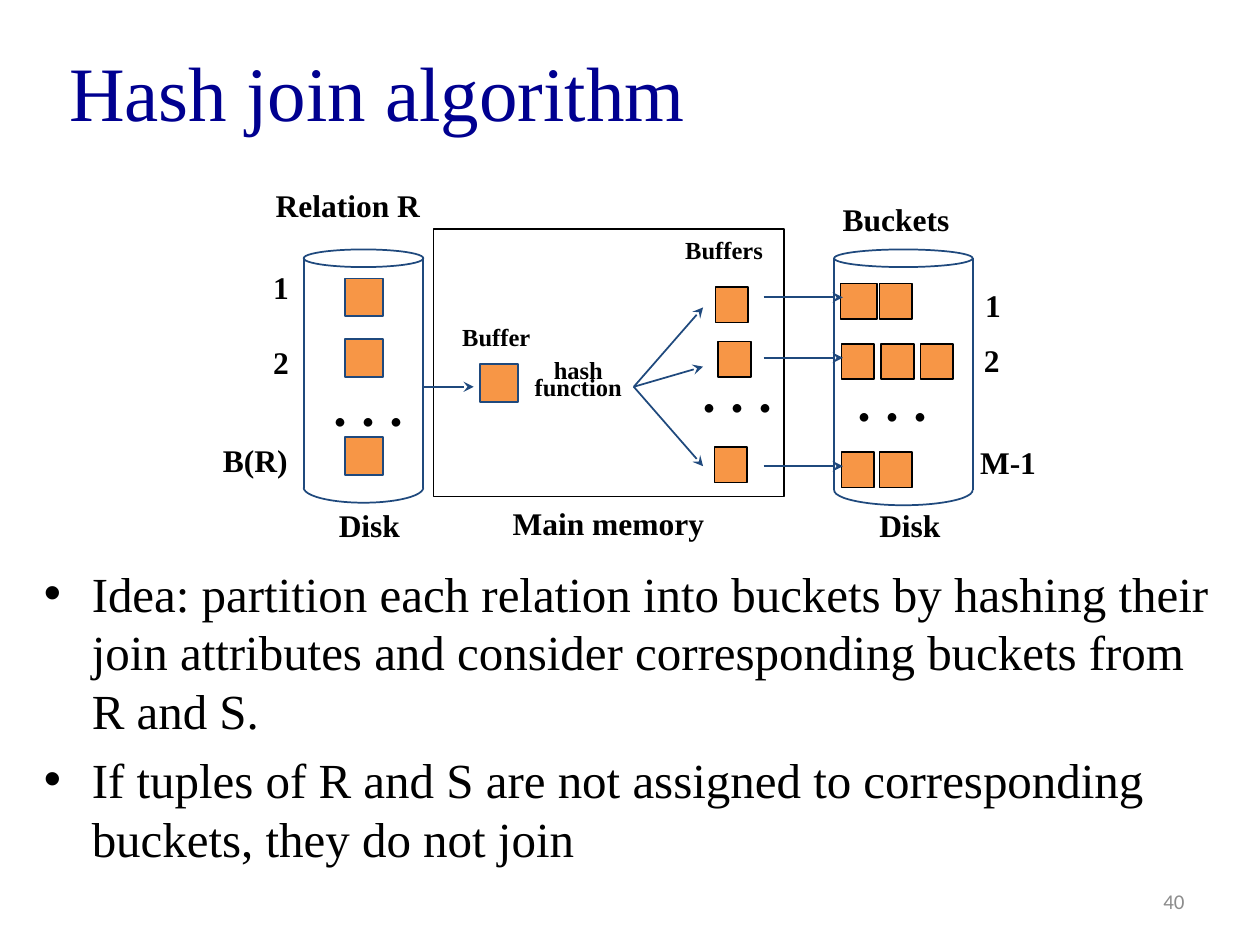
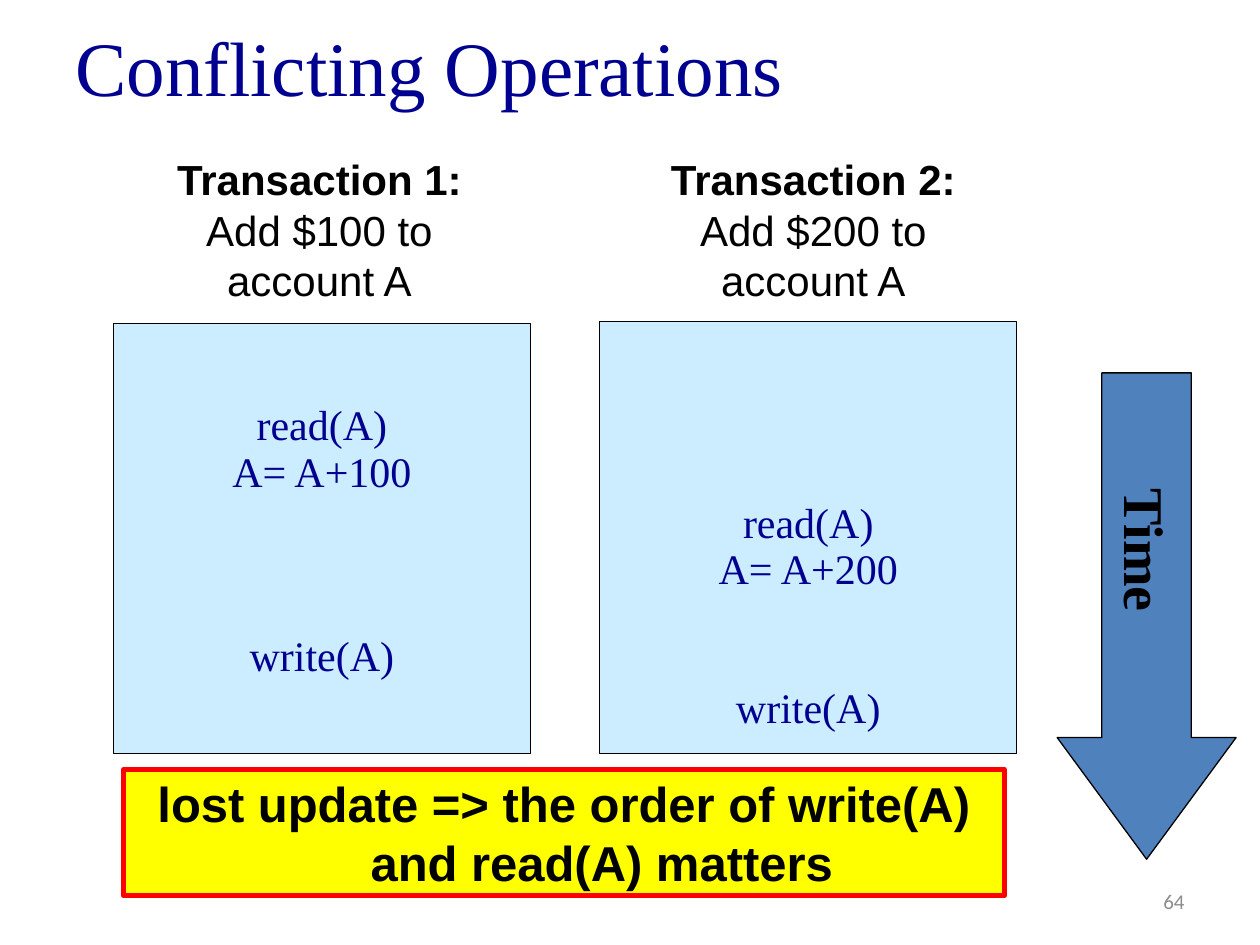
"""Builds two database slides: hash join and conflicting operations."""
from lxml import etree
from pptx import Presentation
from pptx.dml.color import RGBColor
from pptx.enum.shapes import MSO_CONNECTOR, MSO_SHAPE
from pptx.enum.text import MSO_ANCHOR, PP_ALIGN
from pptx.oxml.ns import qn
from pptx.util import Inches, Pt

BLACK = RGBColor(0x00, 0x00, 0x00)
NAVY = RGBColor(0x00, 0x00, 0x90)
GRAY = RGBColor(0x8C, 0x8C, 0x8C)
INK = RGBColor(0x1F, 0x49, 0x7D)
ORANGE = RGBColor(0xF7, 0x96, 0x46)
SKY = RGBColor(0xCC, 0xEC, 0xFF)
BLUE = RGBColor(0x4F, 0x81, 0xBD)
YELLOW = RGBColor(0xFF, 0xFF, 0x00)
RED = RGBColor(0xFF, 0x00, 0x00)

SERIF, SANS, BODY, DOTS = "Times New Roman", "Arial", "Calibri", "TeX Gyre Pagella"
RECT, OVAL, ARC, DOWN = (MSO_SHAPE.RECTANGLE, MSO_SHAPE.OVAL, MSO_SHAPE.ARC,
                         MSO_SHAPE.DOWN_ARROW)
LEFT, CENTER, RIGHT = PP_ALIGN.LEFT, PP_ALIGN.CENTER, PP_ALIGN.RIGHT
TOP, MIDDLE, BOTTOM = MSO_ANCHOR.TOP, MSO_ANCHOR.MIDDLE, MSO_ANCHOR.BOTTOM
COLS = 100


class Deck:
    """Draws on the current slide, on a grid of 100 columns by 75 rows."""

    def __init__(self):
        self.prs = Presentation()
        self.prs.slide_width, self.prs.slide_height = Inches(10), Inches(7.5)
        self.cell = self.prs.slide_width / COLS

    def grid(self, *cells):
        return [round(n * self.cell) for n in cells]

    def slide(self, title, spot, number):
        self.shapes = self.prs.slides.add_slide(self.prs.slide_layouts[6]).shapes
        self.text(spot, [title], 44, color=NAVY, anchor=MIDDLE)
        self.text((71.7, 69.5, 23.3, 4), [number], 12, BODY, GRAY,
                  align=RIGHT, anchor=MIDDLE)

    def typeset(self, frame, lines, size, font=SERIF, color=BLACK, bold=False,
                align=LEFT, anchor=TOP, wrap=True):
        frame.word_wrap, frame.vertical_anchor = wrap, anchor
        frame.text = "\n".join(lines)
        for para in frame.paragraphs:
            para.alignment = align
            face = para.font
            face.size, face.name, face.bold = Pt(size), font, bold
            face.color.rgb = color
        return frame.paragraphs

    def text(self, spot, lines, size, *args, turn=0, **style):
        box = self.shapes.add_textbox(*self.grid(*spot))
        box.rotation = turn
        return self.typeset(box.text_frame, lines, size, *args, **style)

    def label(self, x, y, w, words, size=18):
        h = 4 if size == 18 else 3.4
        self.text((x, y, w, h), [words], size, bold=True, wrap=False)

    def dots(self, x, y):
        self.text((x, y, 7.6, 6.4), [". . ."], 32, DOTS, bold=True, wrap=False)

    def shape(self, kind, spot, fill=None, line=BLACK, width=1.0, adjust=()):
        item = self.shapes.add_shape(kind, *self.grid(*spot))
        item.shadow.inherit = False
        if fill is None:
            item.fill.background()
        else:
            item.fill.solid()
            item.fill.fore_color.rgb = fill
        item.line.color.rgb, item.line.width = line, Pt(width)
        for i, value in enumerate(adjust):
            item.adjustments[i] = value
        return item

    def block(self, x, y, w=2.6, h=2.8):
        self.shape(RECT, (x, y, w, h), ORANGE)

    def page(self, x, y):
        self.shape(RECT, (x, y, 3, 3), ORANGE, INK)

    def line(self, start, end, head=False):
        item = self.shapes.add_connector(MSO_CONNECTOR.STRAIGHT,
                                         *self.grid(*start, *end))
        item.line.color.rgb, item.line.width = INK, Pt(1)
        prop = item._element.spPr
        if head:
            etree.SubElement(prop.get_or_add_ln(), qn("a:tailEnd"), type="stealth")
        etree.SubElement(prop, qn("a:effectLst"))

    def disk(self, x, w, base):
        self.shape(OVAL, (x, 19.8, w, 1.4), line=INK)
        for side in (x, x + w):
            self.line((side, 20.5), (side, base))
        self.shape(ARC, (x, base - 1.2, w, 2.4), line=INK, adjust=(0, 108))

    def hang(self, para, inches, bullet=False):
        prop = para._p.get_or_add_pPr()
        prop.set("marL", str(Inches(inches)))
        prop.set("indent", str(-Inches(inches)))
        if bullet:
            mark = etree.Element(qn("a:buChar"), char="•")
            face = etree.Element(qn("a:buFont"), typeface=SANS)
            prop.insert(len(prop) - 1, face)
            prop.insert(len(prop) - 1, mark)

    def trade(self, x, top, number, amount, low, gap):
        para = self.text((x, 11.7, 29.1, 13.1), [f"Transaction {number}: "], 24,
                         SANS, bold=True, align=CENTER)[0]
        run = para.add_run()
        run.text, run.font.bold = f"Add ${amount} to account A", False
        box = self.shape(RECT, (9 + 38.6 * (number - 1), top, 33.1, 59.8 - top),
                         SKY, width=0.75)
        box.text_frame.margin_bottom = self.grid(low)[0]
        steps = self.typeset(box.text_frame, ["read(A)", f"A= A+{amount}", "write(A)"],
                             24, color=NAVY, align=CENTER, anchor=BOTTOM)
        for step, space in zip(steps, (0, 12, gap)):
            step.line_spacing, step.space_before = 0.5, Pt(space)


def join(deck):
    deck.slide("Hash join algorithm", (4.5, 1.8, 95.5, 10.8), "40")
    points = deck.text((2.5, 44.2, 95.5, 25), [
        "Idea: partition each relation into buckets by hashing their join "
        "attributes and consider corresponding buckets from R and S.",
        "If tuples of R and S are not assigned to corresponding buckets, "
        "they do not join"], 28)
    points[1].space_before = Pt(5.6)
    for point in points:
        deck.hang(point, 0.38, bullet=True)

    deck.shape(RECT, (34.4, 18.2, 27.8, 21.2))
    deck.disk(24.1, 9.5, 38.7)
    deck.disk(66.2, 11, 38.9)
    for y in (22.1, 26.9, 34.7):
        deck.page(27.4, y)
    deck.page(38.1, 28.9)
    deck.block(66.7, 22.5, 2.9)
    deck.block(69.8, 22.5)
    for i in range(3):
        deck.block(66.8 + 3.13 * i, 27.3)
    for x in (66.8, 69.8):
        deck.block(x, 35.9)
    for x, y in ((56.8, 22.8), (57, 27.1), (56.7, 35.5)):
        deck.block(x, y)

    deck.line((33.6, 30.7), (37.6, 30.7), True)
    for y in (24.4, 29.1, 37):
        deck.line((50.3, 30.7), (55.8, y), True)
    for y in (23.6, 28.4, 37):
        deck.line((60.6, y), (66.9, y), True)

    for x, y, w, words in (
            (20.9, 14.3, 13.6, "Relation R"), (65.9, 15.4, 10.6, "Buckets"),
            (39.7, 39.5, 18, "Main memory"), (25.9, 39.7, 6.9, "Disk"),
            (68.8, 39.7, 6.9, "Disk"), (20.7, 20.8, 3.3, "1"),
            (20.7, 26.7, 3.3, "2"), (16.7, 34.5, 7.2, "B(R)"),
            (77.2, 22.2, 3.3, "1"), (77.1, 26.6, 3.3, "2"),
            (76.8, 34.7, 6.5, "M-1")):
        deck.label(x, y, w, words)
    deck.label(35.7, 25.1, 7.5, "Buffer", 14)
    deck.label(53.4, 18.2, 8.3, "Buffers", 14)
    words = deck.text((41.4, 27.7, 9, 4.5), ["hash", "function"], 14, bold=True,
                      align=CENTER, wrap=False)
    words[1].line_spacing = 0.5
    for x, y in ((25.5, 28.9), (54.8, 27.8), (67.1, 28.5)):
        deck.dots(x, y)


def clash(deck):
    deck.slide("Conflicting Operations", (5, 0.5, 93, 9.4), "64")
    deck.trade(10.8, 25.7, 1, 100, 6.1, 91)
    deck.trade(50, 25.5, 2, 200, 2, 64.6)
    deck.shape(DOWN, (83.9, 29.6, 14.2, 38.6), BLUE, width=0.75, adjust=(0.5, 0.68))
    deck.text((84, 40.5, 14, 6.3), ["Time"], 32, bold=True, align=CENTER, turn=90)
    note = deck.shape(RECT, (9.8, 61.1, 69.9, 10), YELLOW, RED, 3)
    frame = note.text_frame
    frame.margin_left, frame.margin_right = deck.grid(0.7, 0.7)
    frame.margin_top, frame.margin_bottom = deck.grid(0.3, 0.3)
    para = deck.typeset(frame,
                        ["lost update => the order of write(A) and read(A) matters"],
                        28, SANS, bold=True, align=CENTER)[0]
    deck.hang(para, 0.6)


def main():
    deck = Deck()
    join(deck)
    clash(deck)
    deck.prs.save("out.pptx")


if __name__ == "__main__":
    main()
